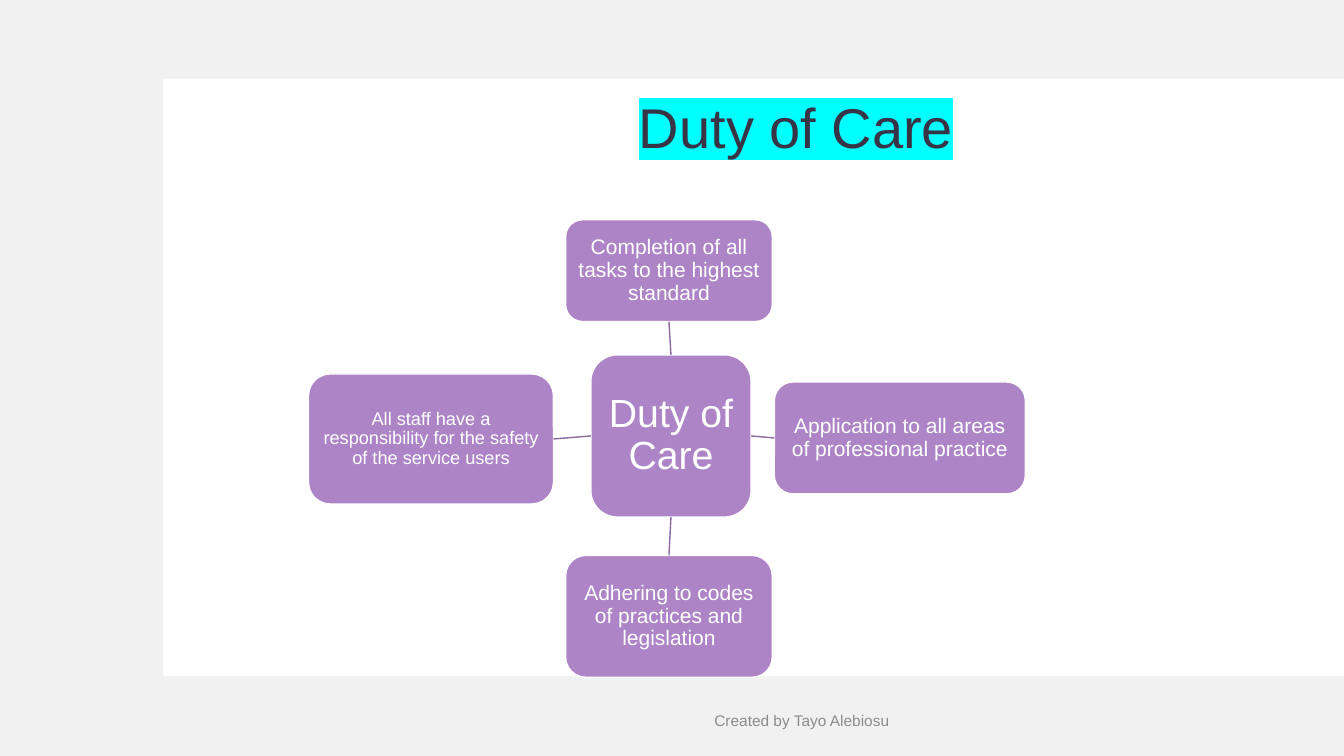
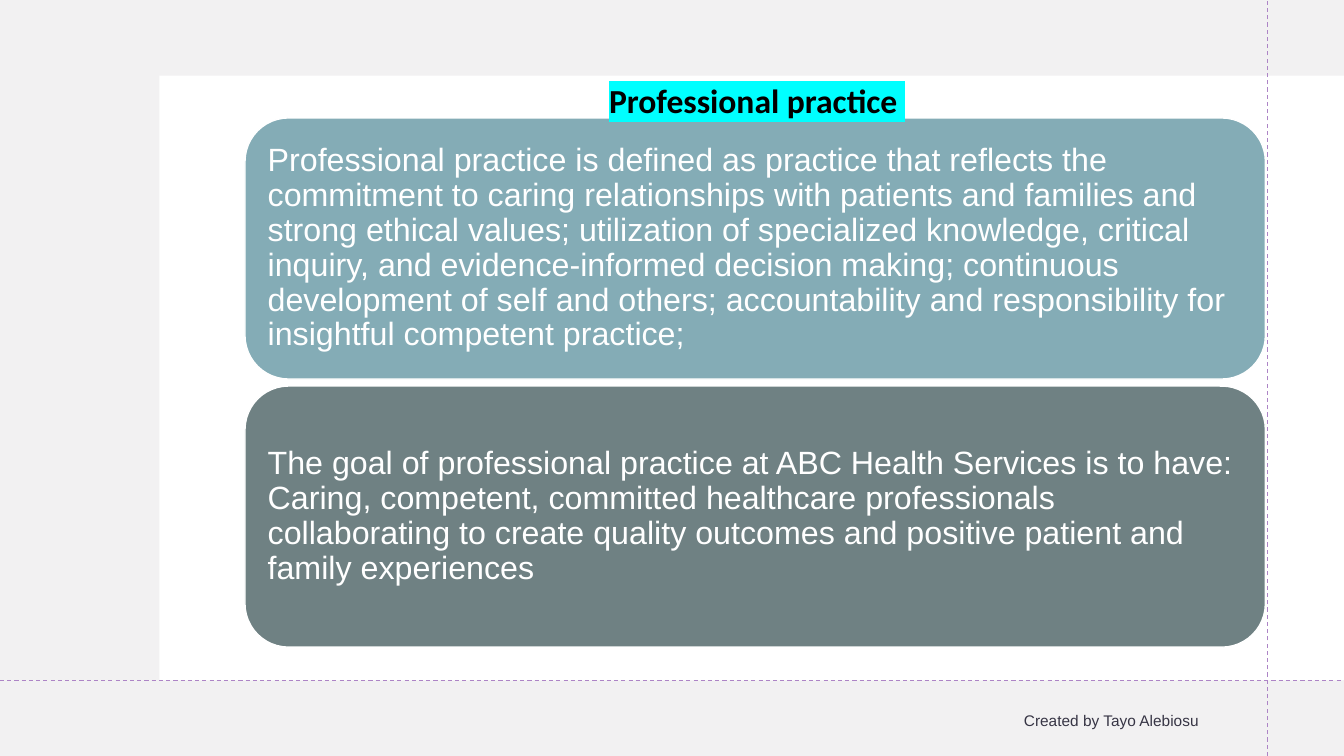
"""Build two slides about duty of care and professional practice."""
from dataclasses import dataclass
from typing import Optional

from lxml.etree import SubElement
from pptx import Presentation
from pptx.dml.color import RGBColor
from pptx.enum.dml import MSO_LINE
from pptx.enum.shapes import MSO_CONNECTOR, MSO_SHAPE
from pptx.enum.text import MSO_ANCHOR, MSO_AUTO_SIZE, PP_ALIGN
from pptx.oxml import parse_xml
from pptx.oxml.ns import nsdecls, qn
from pptx.shapes.autoshape import Shape
from pptx.shapes.connector import Connector
from pptx.slide import Slide
from pptx.util import Inches, Pt

WIDTH, HEIGHT = 13.33, 7.5
CREDIT = "Created by Tayo Alebiosu"
TOP, LEFT, BOTTOM, RIGHT = range(4)
OPPOSITE = {TOP: BOTTOM, LEFT: RIGHT, BOTTOM: TOP, RIGHT: LEFT}


@dataclass(frozen=True)
class Theme:
    white: str = "FFFFFF"
    black: str = "000000"
    ink: str = "373545"
    muted: str = "8C8C8C"
    margin: str = "DCD8DC"
    margin_opacity: int = 35
    highlight: str = "00FFFF"
    purple: str = "AD84C6"
    link: str = "8B6A9F"
    blue: str = "84ACB6"
    slate: str = "6F8183"
    body_font: str = "Arial"
    heading_font: str = "Calibri"
    title_size: int = 40
    hub_size: int = 28
    heading_size: int = 24
    panel_size: int = 23
    spoke_size: int = 15
    small_spoke_size: int = 13
    footer_size: int = 11


THEME = Theme()


@dataclass(frozen=True)
class Area:
    left: float
    top: float
    width: float
    height: float

    def lengths(self) -> tuple:
        return tuple(map(Inches, (self.left, self.top, self.width, self.height)))


@dataclass(frozen=True)
class TextStyle:
    size: int
    color: str = THEME.white
    font: str = THEME.body_font
    bold: bool = False
    align: PP_ALIGN = PP_ALIGN.CENTER
    anchor: MSO_ANCHOR = MSO_ANCHOR.MIDDLE
    spacing: float = 0.9
    highlight: Optional[str] = None


@dataclass(frozen=True)
class Tile:
    text: str
    area: Area
    style: TextStyle
    fill: str = THEME.purple
    inset: float = 0.04


@dataclass(frozen=True)
class Spoke:
    side: int
    tile: Tile


PANEL_STYLE = TextStyle(THEME.panel_size, align=PP_ALIGN.LEFT)
SPOKE_STYLE = TextStyle(THEME.spoke_size)

HUB = Tile("Duty of Care", Area(5.86, 3.52, 1.59, 1.61), TextStyle(THEME.hub_size), inset=0.08)
SPOKES = (
    Spoke(TOP, Tile("Completion of all tasks to the highest standard",
                    Area(5.61, 2.18, 2.05, 1.01), SPOKE_STYLE)),
    Spoke(RIGHT, Tile("Application to all areas of professional practice",
                      Area(7.68, 3.79, 2.49, 1.11), SPOKE_STYLE)),
    Spoke(BOTTOM, Tile("Adhering to codes of practices and legislation",
                       Area(5.61, 5.51, 2.05, 1.21), SPOKE_STYLE)),
    Spoke(LEFT, Tile("All staff have a responsibility for the safety of the service users",
                     Area(3.06, 3.71, 2.43, 1.29), TextStyle(THEME.small_spoke_size))),
)
PANELS = (
    Tile("Professional practice is defined as practice that reflects the commitment to caring "
         "relationships with patients and families and strong ethical values; utilization of "
         "specialized knowledge, critical inquiry, and evidence-informed decision making; "
         "continuous development of self and others; accountability and responsibility for "
         "insightful competent practice;",
         Area(2.43, 1.17, 10.12, 2.59), PANEL_STYLE, THEME.blue, 0.1),
    Tile("The goal of professional practice at ABC Health Services is to have: Caring, "
         "competent, committed healthcare professionals collaborating to create quality "
         "outcomes and positive patient and family experiences",
         Area(2.43, 3.83, 10.12, 2.59), PANEL_STYLE, THEME.slate, 0.1),
)


def color(value: str) -> RGBColor:
    """Turn a hex string into a colour."""
    return RGBColor.from_string(value)


def write(box: Shape, text: str, style: TextStyle) -> None:
    """Put one styled paragraph into a shape."""
    frame = box.text_frame
    frame.text = text
    frame.word_wrap = True
    frame.auto_size = MSO_AUTO_SIZE.NONE
    frame.vertical_anchor = style.anchor
    para = frame.paragraphs[0]
    para.alignment = style.align
    para.line_spacing = style.spacing
    span = para.runs[0]
    span.font.size = Pt(style.size)
    span.font.bold = style.bold
    span.font.name = style.font
    span.font.color.rgb = color(style.color)
    if style.highlight:
        mark = parse_xml(f'<a:highlight {nsdecls("a")}><a:srgbClr val="{style.highlight}"/></a:highlight>')
        span.font.fill._xPr.find(qn("a:solidFill")).addnext(mark)


def add_block(page: Slide, area: Area, fill: str,
              preset: MSO_SHAPE = MSO_SHAPE.RECTANGLE) -> Shape:
    """Draw a filled shape without line or shadow."""
    block = page.shapes.add_shape(preset, *area.lengths())
    block.shadow.inherit = False
    block.fill.solid()
    block.fill.fore_color.rgb = color(fill)
    block.line.fill.background()
    return block


def add_backdrop(page: Slide, left: float, top: float, height: float) -> None:
    """Draw the tinted margin and the white card that runs off to the right."""
    margin = add_block(page, Area(0, 0, WIDTH, HEIGHT), THEME.margin)
    tint = margin.element.spPr.find(qn("a:solidFill"))[0]
    SubElement(tint, qn("a:alpha")).set("val", str(THEME.margin_opacity * 1000))
    add_block(page, Area(left, top, WIDTH - left, height), THEME.white)


def add_tile(page: Slide, tile: Tile) -> Shape:
    """Draw a rounded, white-edged tile with its text."""
    box = add_block(page, tile.area, tile.fill, MSO_SHAPE.ROUNDED_RECTANGLE)
    box.line.color.rgb = color(THEME.white)
    box.line.width = Pt(1)
    frame = box.text_frame
    frame.margin_left = frame.margin_right = Inches(tile.inset)
    frame.margin_top = frame.margin_bottom = Inches(tile.inset)
    write(box, tile.text, tile.style)
    return box


def add_line(page: Slide, start: tuple, end: tuple, stroke: str, width: float) -> Connector:
    """Draw a straight line without shadow."""
    line = page.shapes.add_connector(MSO_CONNECTOR.STRAIGHT, *map(Inches, start + end))
    line.line.color.rgb = color(stroke)
    line.line.width = Pt(width)
    SubElement(line.element.spPr, qn("a:effectLst"))
    return line


def place_title(page: Slide, text: str, area: Area, style: TextStyle) -> None:
    """Move, format and bring forward the title placeholder."""
    title = page.shapes.title
    title.left, title.top, title.width, title.height = area.lengths()
    write(title, text, style)
    title.element.getparent().append(title.element)


def add_footer(page: Slide, area: Area, ink: str) -> None:
    """Write the right-aligned credit line."""
    footer = page.shapes.add_textbox(*area.lengths())
    write(footer, CREDIT, TextStyle(THEME.footer_size, ink, align=PP_ALIGN.RIGHT, spacing=1.0))


def build_duty_page(page: Slide) -> None:
    """Draw the hub with its four duties."""
    add_backdrop(page, 1.62, 0.78, 5.93)
    hub = add_tile(page, HUB)
    for spoke in SPOKES:
        box = add_tile(page, spoke.tile)
        link = add_line(page, (0, 0), (0, 0), THEME.link, 1)
        link.begin_connect(hub, spoke.side)
        link.end_connect(box, OPPOSITE[spoke.side])
    place_title(page, "Duty of Care", Area(3.8, 0.74, 8.19, 1.1),
                TextStyle(THEME.title_size, THEME.ink, highlight=THEME.highlight))
    add_footer(page, Area(4.42, 6.95, 4.5, 0.4), THEME.muted)


def build_practice_page(page: Slide) -> None:
    """Draw the two panels on professional practice."""
    add_backdrop(page, 1.58, 0.75, 6)
    for start, end in (((12.57, HEIGHT), (12.57, 0)), ((0, 6.75), (WIDTH, 6.75))):
        guide = add_line(page, start, end, THEME.purple, 0.75)
        guide.line.dash_style = MSO_LINE.DASH
    for panel in PANELS:
        add_tile(page, panel)
    place_title(page, "Professional practice ", Area(5.94, 0.74, 4.93, 0.5),
                TextStyle(THEME.heading_size, THEME.black, THEME.heading_font, True,
                          PP_ALIGN.LEFT, MSO_ANCHOR.TOP, 1.0, THEME.highlight))
    add_footer(page, Area(4.12, 6.8, 7.87, 0.7), THEME.ink)


def main() -> None:
    """Build and save the deck."""
    deck = Presentation()
    deck.slide_width, deck.slide_height = Inches(WIDTH), Inches(HEIGHT)
    title_only = deck.slide_layouts[5]
    for build in (build_duty_page, build_practice_page):
        build(deck.slides.add_slide(title_only))
    deck.save("out.pptx")


if __name__ == "__main__":
    main()
